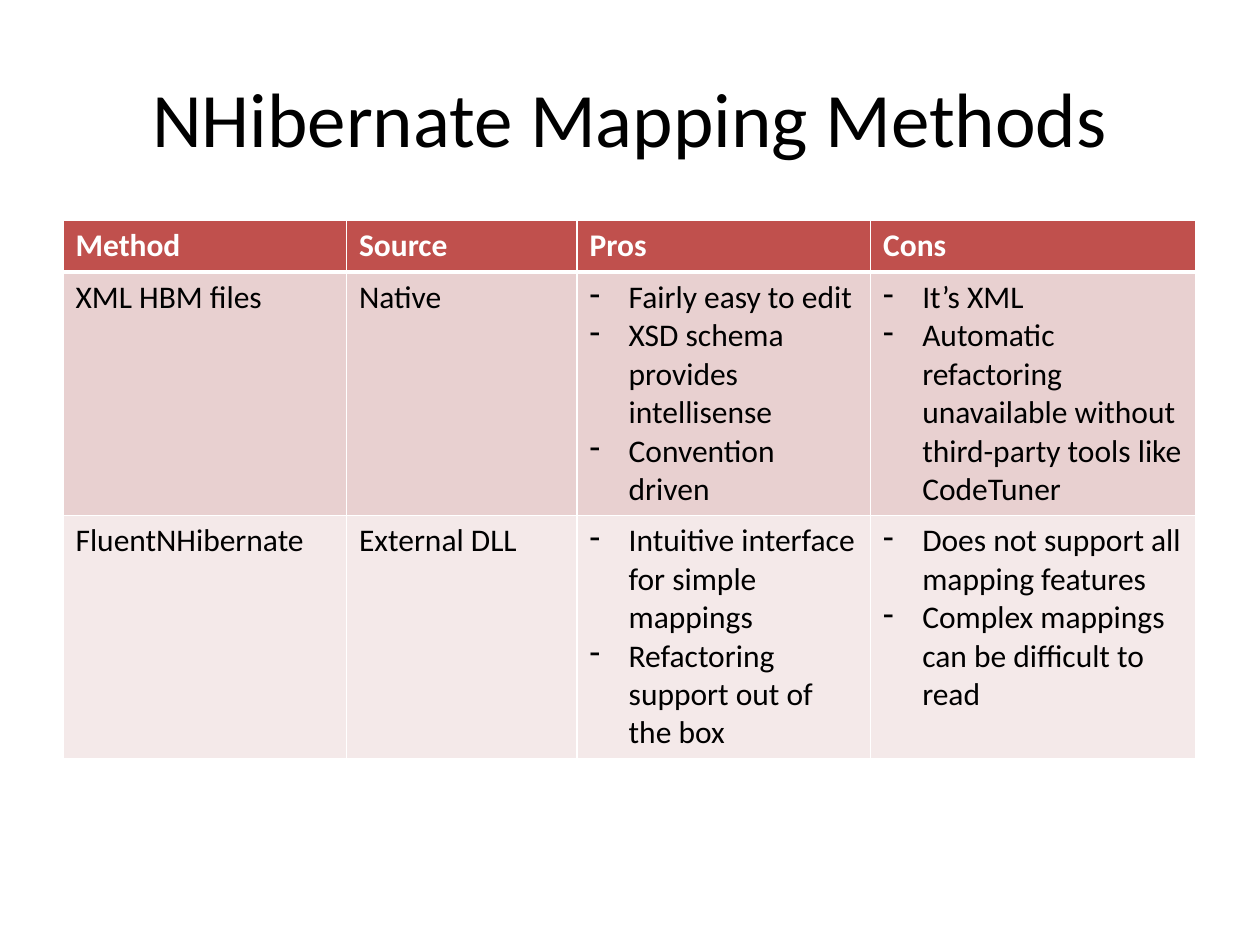
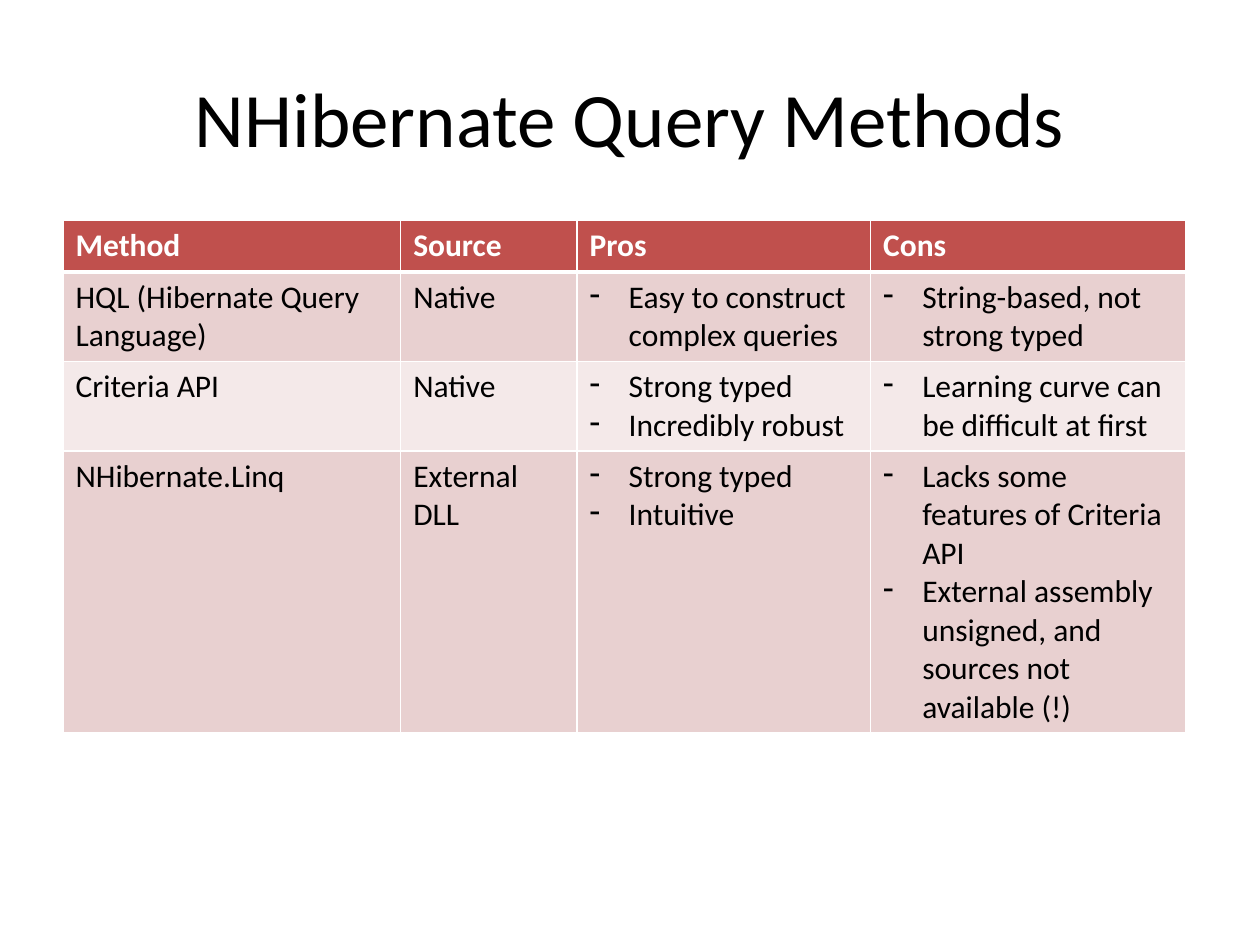
"""Build two slides that compare NHibernate mapping and query methods."""
from lxml import etree
from pptx import Presentation
from pptx.dml.color import RGBColor
from pptx.enum.text import MSO_ANCHOR, PP_ALIGN
from pptx.oxml.ns import qn
from pptx.util import Inches, Pt

CENTER = PP_ALIGN.CENTER
MIDDLE = MSO_ANCHOR.MIDDLE
TITLE_ONLY = 5
FONT = "Calibri"
COLORS = {
    "text": "000000",
    "header": "C0504D",
    "header_text": "FFFFFF",
    "odd_row": "E8D0D0",
    "even_row": "F4E9E9",
    "border": "FFFFFF",
}
ROW_HEIGHT = 0.41
INDENT = 0.31
HEADINGS = ("Method", "Source", "Pros", "Cons")

MAPPING_WIDTHS = (2.25, 1.83, 2.33, 2.58)
MAPPING_METHODS = (
    ("XML HBM files", "Native",
     ["Fairly easy to edit", "XSD schema provides intellisense", "Convention driven"],
     ["It’s XML",
      "Automatic refactoring unavailable without third-party tools like CodeTuner"]),
    ("FluentNHibernate", "External DLL",
     ["Intuitive interface for simple mappings", "Refactoring support out of the box"],
     ["Does not support all mapping features",
      "Complex mappings can be difficult to read"]),
)

QUERY_WIDTHS = (2.68, 1.4, 2.33, 2.5)
QUERY_METHODS = (
    ("HQL (Hibernate Query Language)", "Native",
     ["Easy to construct complex queries"],
     ["String-based, not strong typed"]),
    ("Criteria API", "Native",
     ["Strong typed", "Incredibly robust"],
     ["Learning curve can be difficult at first"]),
    ("NHibernate.Linq", "External DLL",
     ["Strong typed", "Intuitive"],
     ["Lacks some features of Criteria API",
      "External assembly unsigned, and sources not available (!)"]),
)


def color(name):
    return RGBColor.from_string(COLORS[name])


def format_text(paragraph, size, color_name, bold=False):
    for run in paragraph.runs:
        run.font.name = FONT
        run.font.size = Pt(size)
        run.font.bold = bold
        run.font.color.rgb = color(color_name)


def add_title(slide, text):
    title = slide.shapes.title
    title.left, title.top = Inches(0.5), Inches(0.3)
    title.width, title.height = Inches(9), Inches(1.25)
    title.text_frame.text = text
    title.text_frame.vertical_anchor = MIDDLE
    paragraph = title.text_frame.paragraphs[0]
    paragraph.alignment = CENTER
    format_text(paragraph, 44, "text")


def set_borders(cell, top, bottom):
    properties = cell._tc.get_or_add_tcPr()
    for side, width in (("L", 1), ("R", 1), ("T", top), ("B", bottom)):
        line = etree.SubElement(properties, qn(f"a:ln{side}"), w=str(Pt(width)))
        fill = etree.SubElement(line, qn("a:solidFill"))
        etree.SubElement(fill, qn("a:srgbClr"), val=COLORS["border"])


def add_dash(paragraph):
    properties = paragraph._p.get_or_add_pPr()
    properties.set("marL", str(Inches(INDENT)))
    properties.set("indent", str(-Inches(INDENT)))
    etree.SubElement(properties, qn("a:buFontTx"))
    etree.SubElement(properties, qn("a:buChar"), char="-")


def fill_cell(cell, content, row_index):
    is_header = row_index == 0
    set_borders(cell, 3 if row_index == 1 else 1, 3 if is_header else 1)
    row_color = "odd_row" if row_index % 2 else "even_row"
    cell.fill.solid()
    cell.fill.fore_color.rgb = color("header" if is_header else row_color)
    is_list = isinstance(content, list)
    cell.text_frame.text = "\n".join(content) if is_list else content
    for paragraph in cell.text_frame.paragraphs:
        if is_list:
            add_dash(paragraph)
        format_text(paragraph, 18, "header_text" if is_header else "text", is_header)


def add_comparison_table(slide, widths, methods):
    rows = (HEADINGS, *methods)
    table = slide.shapes.add_table(
        len(rows), len(widths), Inches(0.5), Inches(1.75),
        Inches(sum(widths)), Inches(ROW_HEIGHT * len(rows))).table
    table.horz_banding = False
    for column, width in zip(table.columns, widths):
        column.width = Inches(width)
    for row_index, row in enumerate(rows):
        for column_index, content in enumerate(row):
            fill_cell(table.cell(row_index, column_index), content, row_index)


def add_comparison_slide(presentation, title, widths, methods):
    slide = presentation.slides.add_slide(presentation.slide_layouts[TITLE_ONLY])
    add_title(slide, title)
    add_comparison_table(slide, widths, methods)


def main():
    presentation = Presentation()
    presentation.slide_width = Inches(10)
    presentation.slide_height = Inches(7.5)
    add_comparison_slide(
        presentation, "NHibernate Mapping Methods", MAPPING_WIDTHS, MAPPING_METHODS)
    add_comparison_slide(
        presentation, "NHibernate Query Methods", QUERY_WIDTHS, QUERY_METHODS)
    presentation.save("out.pptx")


if __name__ == "__main__":
    main()
